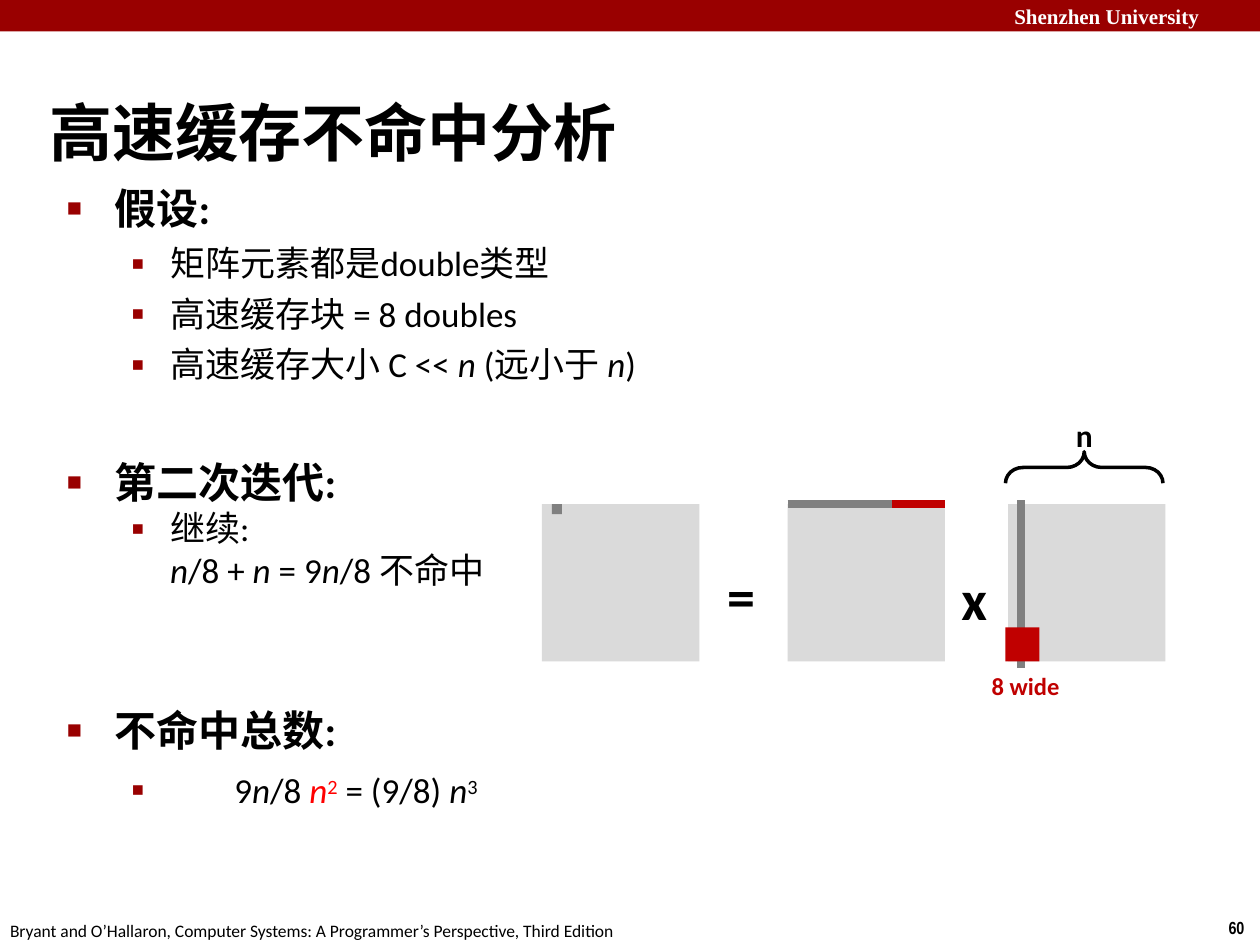
from pptx import Presentation
from pptx.dml.color import RGBColor
from pptx.enum.shapes import MSO_CONNECTOR, MSO_SHAPE
from pptx.enum.text import MSO_ANCHOR, MSO_AUTO_SIZE, PP_ALIGN
from pptx.oxml.ns import qn
from pptx.util import Inches, Pt
from lxml import etree

RECTANGLE, BRACE = MSO_SHAPE.RECTANGLE, MSO_SHAPE.LEFT_BRACE
STRAIGHT = MSO_CONNECTOR.STRAIGHT
LEFT, CENTER = PP_ALIGN.LEFT, PP_ALIGN.CENTER
MIDDLE, NO_FIT = MSO_ANCHOR.MIDDLE, MSO_AUTO_SIZE.NONE
COLORS = {"banner": "990000", "white": "FFFFFF", "text": "000000", "matrix": "DADADA",
          "read": "808080", "cached": "C00000", "accent": "FF0000"}
BODY_FONT = "Calibri"

# Paragraphs: level, space before (pt), runs of (text, style letters);
# i = italic, r = red, s = superscript
OUTLINE = [
    ("heading", 0, [("假设:", "")]),
    ("item", 5, [("矩阵元素都是double类型", "")]),
    ("item", 4.8, [("高速缓存块 = 8 doubles", "")]),
    ("item", 4.8, [("高速缓存大小 C << ", ""), ("n ", "i"), ("(远小于 ", ""), ("n", "i"), (")", "")]),
    ("heading", 41, [("第二次迭代:", "")]),
    ("item", 0, [("继续:", ""), ("\v", ""), ("n", "i"), ("/8 + ", ""), ("n ", "i"), ("= 9", ""),
                 ("n", "i"), ("/8 不命中", "")]),
    ("heading", 65, [("不命中总数:", "")]),
    ("formula", 7.6, [("9", ""), ("n", "i"), ("/8 ", ""), ("n", "ir"), ("2", "rs"),
                      (" = (9/8) ", ""), ("n", "i"), ("3", "s")]),
]
# Level: text indent, hanging indent, size, line height, bold, bullet, bullet size %
LEVELS = {
    "heading": (0.39, 0.38, 24, 28.8, True, "■", 60),
    "item": (0.83, 0.31, 20, 24, False, "▪", 110),
    "formula": (1.34, 0.82, 20, 24, False, "▪", 110),
}


def rgb(name):
    return RGBColor.from_string(COLORS[name])


def set_font(font, size, color="text", bold=False, name=BODY_FONT):
    font.name, font.size, font.bold = name, Pt(size), bold
    font.color.rgb = rgb(color)


def place(shape, box):
    shape.left, shape.top, shape.width, shape.height = [Inches(value) for value in box]


def set_margins(text_frame, top=0):
    text_frame.margin_left = text_frame.margin_right = text_frame.margin_bottom = 0
    text_frame.margin_top = Inches(top)
    text_frame.auto_size = NO_FIT


def add_label(slide, box, text, size, color="text", bold=True, name=BODY_FONT, align=LEFT):
    label = slide.shapes.add_textbox(*[Inches(value) for value in box])
    text_frame = label.text_frame
    set_margins(text_frame)
    text_frame.word_wrap = True
    text_frame.vertical_anchor = MIDDLE
    text_frame.text = text
    paragraph = text_frame.paragraphs[0]
    paragraph.alignment = align
    set_font(paragraph.runs[0].font, size, color, bold, name)


def add_block(slide, box, color):
    block = slide.shapes.add_shape(RECTANGLE, *[Inches(value) for value in box])
    block.shadow.inherit = False
    block.fill.solid()
    block.fill.fore_color.rgb = rgb(color)
    block.line.fill.background()


def add_stripe(slide, start, end, color):
    stripe = slide.shapes.add_connector(STRAIGHT, *[Inches(value) for value in start + end])
    stripe.line.color.rgb = rgb(color)
    stripe.line.width = Pt(4.5)
    etree.SubElement(stripe._element.spPr, qn("a:effectLst"))


def add_bullet(paragraph, level):
    indent, hanging, _, _, _, character, percent = LEVELS[level]
    properties = paragraph._p.get_or_add_pPr()
    properties.set("marL", str(Inches(indent)))
    properties.set("indent", str(-Inches(hanging)))
    color = etree.SubElement(properties, qn("a:buClr"))
    etree.SubElement(color, qn("a:srgbClr"), val=COLORS["banner"])
    etree.SubElement(properties, qn("a:buSzPct"), val=str(percent * 1000))
    etree.SubElement(properties, qn("a:buFont"), typeface="Arial")
    etree.SubElement(properties, qn("a:buChar"), char=character)


def build_frame(slide, width, height):
    # Top banner, source line and page number
    add_block(slide, (0, 0, width, 0.25), "banner")
    add_label(slide, (width - 1.95, 0, 1.7, 0.25), "Shenzhen University", 12, "white",
              name="Times New Roman")
    add_label(slide, (0.08, height - 0.25, width / 2, 0.27),
              "Bryant and O’Hallaron, Computer Systems: A Programmer’s Perspective, Third Edition",
              10, bold=False)
    add_label(slide, (width - 0.25, height - 0.27, 0.25, 0.27), "60", 10, name="Arial Narrow")


def build_title(title, box):
    place(title, box)
    set_margins(title.text_frame, 0.31)
    title.text_frame.vertical_anchor = MIDDLE
    title.text_frame.text = "高速缓存不命中分析"
    paragraph = title.text_frame.paragraphs[0]
    paragraph.alignment = LEFT
    set_font(paragraph.runs[0].font, 36, bold=True)


def build_outline(body, box):
    place(body, box)
    text_frame = body.text_frame
    set_margins(text_frame)
    for index, (level, before, runs) in enumerate(OUTLINE):
        paragraph = text_frame.add_paragraph() if index else text_frame.paragraphs[0]
        _, _, size, line_height, bold, _, _ = LEVELS[level]
        paragraph.level = 0 if level == "heading" else 1
        add_bullet(paragraph, level)
        paragraph.space_before = Pt(before)
        paragraph.line_spacing = Pt(line_height)
        for text, style in runs:
            if text == "\v":
                paragraph.add_line_break()
                continue
            run = paragraph.add_run()
            run.text = text
            set_font(run.font, size, "accent" if "r" in style else "text", bold)
            run.font.italic = "i" in style
            if "s" in style:
                run._r.get_or_add_rPr().set("baseline", "26000")


def build_product_diagram(slide, box):
    left, top, side = box
    row_left, column_left = left + 1.95, left + 3.7
    bottom = top + side

    # Result, row and column matrices
    for matrix_left in (left, row_left, column_left):
        add_block(slide, (matrix_left, top, side, side), "matrix")
    add_label(slide, (left + 1.47, top + 0.45, 0.25, 0.54), "=", 32)
    add_label(slide, (left + 3.33, top + 0.48, 0.25, 0.54), "x", 32)

    # Elements in use, with the cached blocks on top
    add_block(slide, (left + 0.08, top, 0.08, 0.08), "read")
    add_stripe(slide, (row_left, top), (row_left + side, top), "read")
    add_stripe(slide, (row_left + side * 2 / 3, top), (row_left + side, top), "cached")
    add_stripe(slide, (column_left + 0.1, top - 0.03), (column_left + 0.1, bottom + 0.05), "read")
    add_block(slide, (column_left - 0.02, bottom - 0.27, 0.27, 0.27), "cached")
    add_label(slide, (column_left - 0.26, bottom + 0.07, 0.8, 0.24), "8 wide", 14, "cached",
              align=CENTER)

    # Width brace: an upright brace turned to lie above the matrix
    depth, middle = 0.25, column_left + side / 2 - 0.02
    brace = slide.shapes.add_shape(BRACE, Inches(middle - depth / 2),
                                   Inches(top - 0.29 - side / 2), Inches(depth), Inches(side))
    brace.rotation = 90
    brace.adjustments[0] = 0.55
    brace.shadow.inherit = False
    brace.fill.background()
    brace.line.color.rgb = rgb("text")
    brace.line.width = Pt(2)
    add_label(slide, (middle - 0.2, top - 0.7, 0.4, 0.3), "n", 18, align=CENTER)


def main():
    presentation = Presentation()
    width, height = 10, 7.5
    presentation.slide_width, presentation.slide_height = Inches(width), Inches(height)
    slide = presentation.slides.add_slide(presentation.slide_layouts[1])
    build_frame(slide, width, height)
    build_title(slide.shapes.title, (0.39, 0.43, 8.3, 0.92))
    build_outline(slide.placeholders[1], (0.52, 1.45, 5.2, 5))
    build_product_diagram(slide, (4.3, 4, 1.25))
    presentation.save("out.pptx")


if __name__ == "__main__":
    main()
